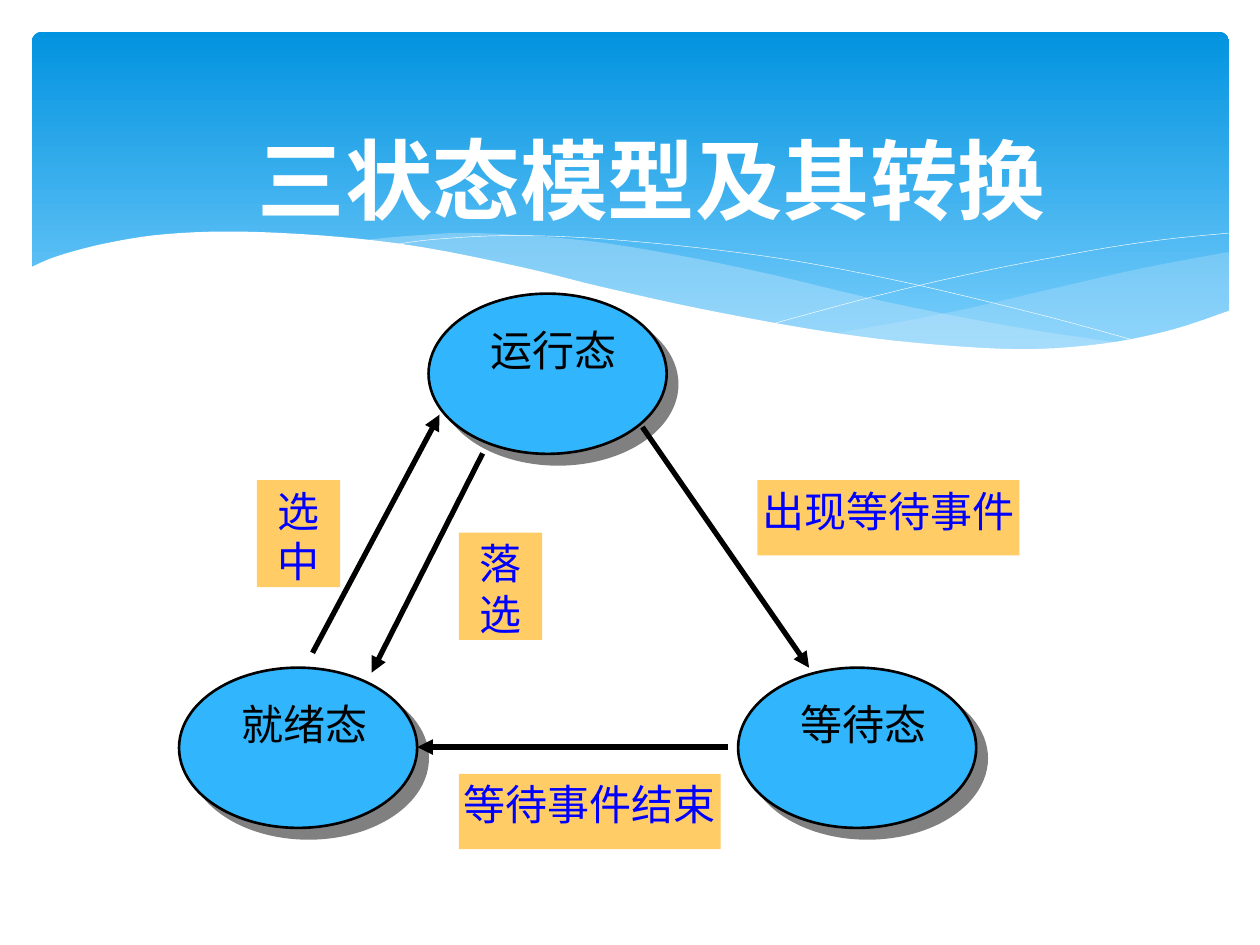
"""Draws the three-state process model and its transitions on one slide."""
from lxml import etree
from pptx import Presentation
from pptx.dml.color import RGBColor
from pptx.enum.shapes import MSO_CONNECTOR, MSO_SHAPE
from pptx.enum.text import MSO_ANCHOR, MSO_AUTO_SIZE, PP_ALIGN
from pptx.oxml import parse_xml
from pptx.oxml.ns import nsdecls, qn
from pptx.util import Cm, Pt

ROUNDED, OVAL, RECT = MSO_SHAPE.ROUNDED_RECTANGLE, MSO_SHAPE.OVAL, MSO_SHAPE.RECTANGLE
STRAIGHT = MSO_CONNECTOR.STRAIGHT
CENTER = PP_ALIGN.CENTER
TOP, MIDDLE = MSO_ANCHOR.TOP, MSO_ANCHOR.MIDDLE
NO_FIT = MSO_AUTO_SIZE.NONE

RIGHT_BAND_TOP = [(24.77, 5.08), (23.01, 5.41), (21.13, 5.84), (19.13, 6.3), (16.79, 6.73)]
RIGHT_BAND_BOTTOM = [(16.79, 6.73), (18.24, 6.93), (19.84, 7.04), (21.21, 7.04),
                     (22.58, 6.91), (23.75, 6.65), (24.79, 6.27)]
LONG_BAND_TOP = [(22.68, 6.93), (20.5, 6.6), (17.93, 6.1), (15.57, 5.54), (13.74, 5.16),
                 (11.79, 4.85), (9.65, 4.7), (8.33, 4.75), (7.26, 4.85)]
LONG_BAND_BOTTOM = [(7.26, 4.85), (9.19, 5.16), (11.4, 5.64), (13.46, 6.1), (15.7, 6.55),
                    (17.65, 6.86), (19.33, 7.04), (20.78, 7.09), (21.77, 7.04), (22.68, 6.93)]
FALLING_LINE = [(7.85, 4.95), (8.71, 4.83), (10.19, 4.75), (11.91, 4.8), (14.12, 5),
                (16.15, 5.28), (18.47, 5.74), (21.11, 6.38), (23.04, 6.91)]
RISING_LINE = [(15.57, 6.53), (17.65, 5.97), (19.71, 5.49), (22, 5.05), (23.47, 4.83), (24.77, 4.7)]
WHITE_WAVE = [(24.82, 6.25), (23.62, 6.65), (22.23, 6.93), (20.55, 7.04), (18.44, 6.91),
              (16.43, 6.65), (14.1, 6.22), (12.07, 5.77), (10.62, 5.41), (8.61, 5),
              (6.88, 4.78), (4.9, 4.67), (3.35, 4.72), (2.16, 4.9), (1.17, 5.16), (0.58, 5.41)]
STATES = [("运行态", 8.64, 5.92), ("就绪态", 3.61, 13.46), ("等待态", 14.88, 13.46)]
ARROWS = [((9.73, 9.14), (7.49, 13.56)), ((12.95, 8.61), (16.31, 13.46)),
          ((14.68, 15.06), (8.41, 15.06)), ((6.3, 13.16), (8.86, 8.36))]
EVENTS = [("选中", 5.18, 9.68, 1.68, 2.16), ("落选", 9.25, 10.74, 1.68, 2.16),
          ("出现等待事件", 15.27, 9.68, 5.28, 1.52), ("等待事件结束", 9.25, 15.6, 5.28, 1.52)]


def color(value):
    """Turn a hex string into a colour."""
    return RGBColor.from_string(value)


def smooth(knots, steps=5):
    """Return points of a Catmull-Rom curve through the knots."""
    ends = [knots[0], *knots, knots[-1]]
    curve = [knots[0]]
    for a, b, c, d in zip(ends, ends[1:], ends[2:], ends[3:]):
        for step in range(1, steps + 1):
            t = step / steps
            curve.append(tuple(
                q + t * ((r - p) + t * ((2 * p - 5 * q + 4 * r - s) + t * (3 * q - p - 3 * r + s))) / 2
                for p, q, r, s in zip(a, b, c, d)))
    return curve


class Painter:
    """Holds the style and the current slide."""

    title_font = "Times New Roman"
    body_font = "Noto Sans CJK JP"
    ink, white, blue, sand, event_ink = "000000", "FFFFFF", "31B6FD", "FFCC66", "0000FF"
    mist, shade = "C6E7FC", "808080"

    def __init__(self, page):
        self.page = page

    def set_text(self, frame, text, size, font, ink, bold=False):
        """Put one centred paragraph in a text frame."""
        frame.word_wrap = True
        frame.auto_size = NO_FIT
        para = frame.paragraphs[0]
        para.text = text
        para.alignment = CENTER
        para.font.size = Pt(size)
        para.font.name = font
        para.font.bold = bold
        para.font.color.rgb = color(ink)

    def banner(self):
        """Draw the blue gradient panel."""
        panel = self.page.shapes.add_shape(ROUNDED, Cm(0.64), Cm(0.64), Cm(24.14), Cm(6.86))
        panel.adjustments[0] = 0.03
        panel.shadow.inherit = False
        panel.line.fill.background()
        panel.fill.gradient()
        panel.fill.gradient_angle = 270
        for stop, position, value in zip(panel.fill.gradient_stops, (0, 1), ("0293E0", "83D3FE")):
            stop.position = position
            stop.color.rgb = color(value)

    def outline(self, points, closed):
        """Draw a freeform without a shadow."""
        start, *rest = [(Cm(x), Cm(y)) for x, y in points]
        builder = self.page.shapes.build_freeform(*start)
        builder.add_line_segments(rest, close=closed)
        form = builder.convert_to_shape()
        form.shadow.inherit = False
        return form

    def area(self, points, fill, alpha=100):
        """Draw a filled freeform with the given opacity in percent."""
        form = self.outline(points, True)
        form.line.fill.background()
        form.fill.solid()
        form.fill.fore_color.rgb = color(fill)
        tint = form._element.spPr.find(qn("a:solidFill"))[0]
        etree.SubElement(tint, qn("a:alpha")).set("val", str(alpha * 1000))

    def curve(self, knots):
        """Draw a thin white curve."""
        form = self.outline(smooth(knots), False)
        form.fill.background()
        form.line.color.rgb = color(self.white)
        form.line.width = Pt(0.25)

    def title(self, text):
        """Fill the title placeholder and lift it above the banner."""
        box = self.page.shapes.title
        self.page.shapes._spTree.append(box._element)
        box.left, box.top, box.width, box.height = Cm(2.34), Cm(2.54), Cm(21.59), Cm(2.11)
        box.text_frame.vertical_anchor = MIDDLE
        self.set_text(box.text_frame, text, 50, self.title_font, self.white, True)

    def label(self, text, left, top, width, height, fill, ink):
        """Draw a filled box with text at its top."""
        box = self.page.shapes.add_shape(RECT, Cm(left), Cm(top), Cm(width), Cm(height))
        box.shadow.inherit = False
        box.line.fill.background()
        box.fill.solid()
        box.fill.fore_color.rgb = color(fill)
        frame = box.text_frame
        frame.margin_left = frame.margin_right = frame.margin_bottom = 0
        frame.margin_top = Cm(0.1)
        frame.vertical_anchor = TOP
        self.set_text(frame, text, 24, self.body_font, ink)

    def state(self, text, left, top):
        """Draw an ellipse with a hard shadow and its name."""
        oval = self.page.shapes.add_shape(OVAL, Cm(left), Cm(top), Cm(4.8), Cm(3.23))
        oval.fill.solid()
        oval.fill.fore_color.rgb = color(self.blue)
        oval.line.color.rgb = color(self.ink)
        oval.line.width = Pt(1.5)
        oval._element.spPr.append(parse_xml(
            f'<a:effectLst {nsdecls("a")}><a:outerShdw dist="{Pt(8.5)}" dir="2700000" algn="ctr" '
            f'rotWithShape="0"><a:srgbClr val="{self.shade}"/></a:outerShdw></a:effectLst>'))
        self.label(text, left + 1.09, top + 0.53, 2.87, 2.16, self.blue, self.ink)

    def arrow(self, start, end):
        """Draw a straight line with an arrowhead at its end."""
        line = self.page.shapes.add_connector(STRAIGHT, *map(Cm, start + end))
        line.line.color.rgb = color(self.ink)
        line.line.width = Pt(3)
        edge = line._element.spPr.find(qn("a:ln"))
        etree.SubElement(edge, qn("a:tailEnd")).set("type", "triangle")
        etree.SubElement(line._element.spPr, qn("a:effectLst"))


def main():
    """Build and save the deck."""
    deck = Presentation()
    deck.slide_width, deck.slide_height = Cm(25.4), Cm(19.05)
    painter = Painter(deck.slides.add_slide(deck.slide_layouts[5]))
    painter.banner()
    painter.area(smooth(RIGHT_BAND_TOP) + smooth(RIGHT_BAND_BOTTOM), painter.mist, 29)
    painter.area(smooth(LONG_BAND_TOP) + smooth(LONG_BAND_BOTTOM), painter.mist, 40)
    painter.curve(FALLING_LINE)
    painter.curve(RISING_LINE)
    painter.area(smooth(WHITE_WAVE) + [(0.58, 8.36), (24.82, 8.36)], painter.white)
    painter.title("三状态模型及其转换")
    for state in STATES:
        painter.state(*state)
    for ends in ARROWS:
        painter.arrow(*ends)
    for event in EVENTS:
        painter.label(*event, painter.sand, painter.event_ink)
    deck.save("out.pptx")


if __name__ == "__main__":
    main()
